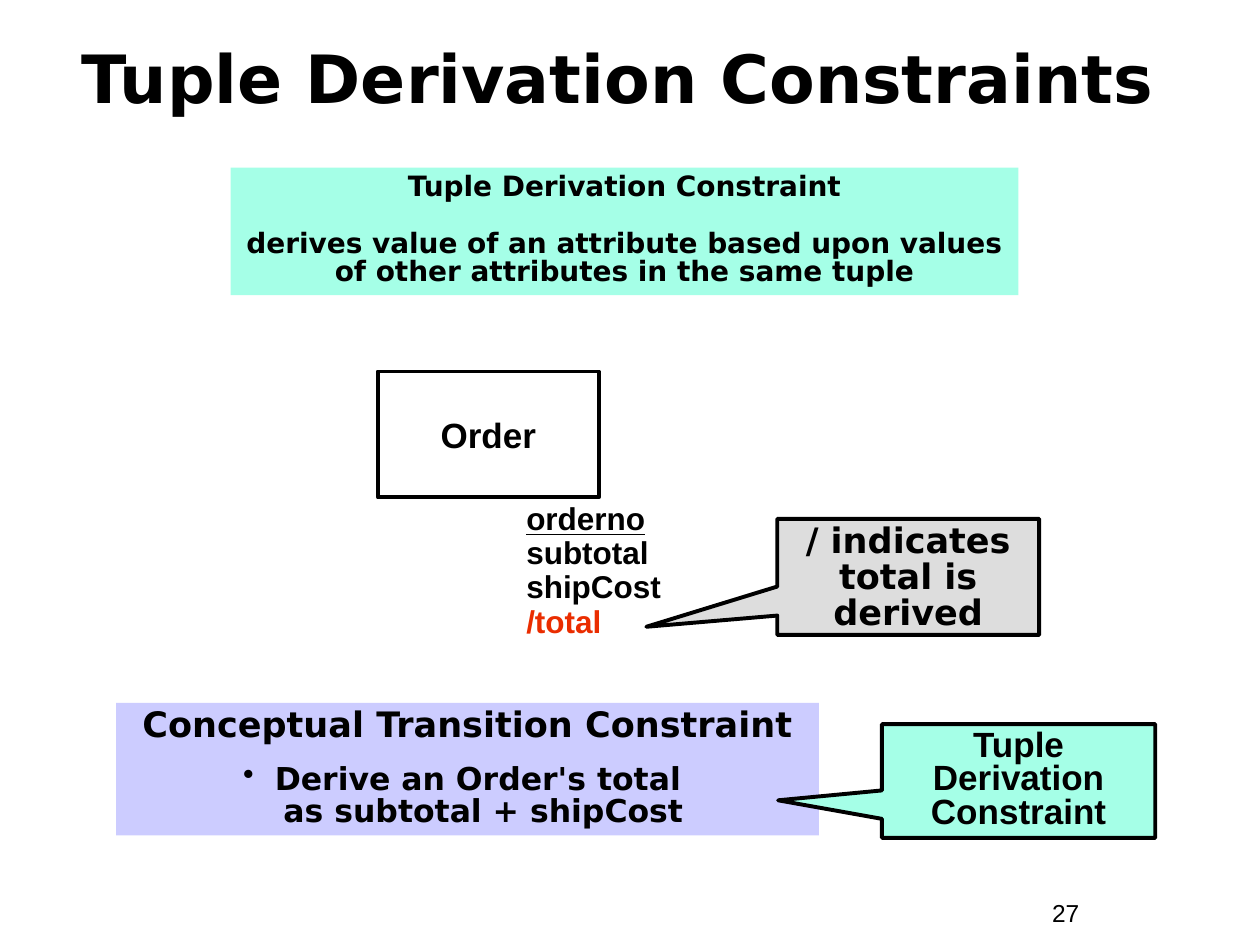
from dataclasses import dataclass

from lxml.etree import SubElement
from pptx import Presentation
from pptx.dml.color import RGBColor
from pptx.enum.shapes import MSO_SHAPE
from pptx.enum.text import MSO_ANCHOR, PP_ALIGN
from pptx.oxml.ns import qn
from pptx.util import Cm, Pt


@dataclass(frozen=True)
class Theme:
    black: RGBColor = RGBColor(0, 0, 0)
    red: RGBColor = RGBColor(0xEA, 0x2D, 0x00)
    grey: RGBColor = RGBColor(0xDD, 0xDD, 0xDD)
    lavender: RGBColor = RGBColor(0xCC, 0xCC, 0xFF)
    mint: RGBColor = RGBColor(0xA5, 0xFF, 0xE7)
    heading_font: str = "DejaVu Sans"
    diagram_font: str = "Arial"
    title_size: Pt = Pt(38)
    label_size: Pt = Pt(20)
    body_size: Pt = Pt(18)
    definition_size: Pt = Pt(16)
    page_size: Pt = Pt(14)
    outline: Pt = Pt(2.25)


THEME = Theme()


def write(holder, text, font, size, bold=True, align=PP_ALIGN.CENTER,
          spacing=None, anchor=MSO_ANCHOR.TOP, wrap=True):
    """Fill a shape with text in one style and return its paragraphs."""
    frame = holder.text_frame
    frame.word_wrap = wrap
    frame.vertical_anchor = anchor
    frame.text = text
    for paragraph in frame.paragraphs:
        paragraph.alignment = align
        paragraph.line_spacing = spacing
        for run in paragraph.runs:
            run.font.name = font
            run.font.size = size
            run.font.bold = bold
            run.font.color.rgb = THEME.black
    return frame.paragraphs


def add_text(slide, box, text, font, size, **style):
    holder = slide.shapes.add_textbox(*map(Cm, box))
    return write(holder, text, font, size, **style)


def add_panel(slide, box, text, font, size, fill=None, outlined=False,
              tip=None, **style):
    """Add a text rectangle; tip turns it into a callout pointing there."""
    kind = MSO_SHAPE.RECTANGULAR_CALLOUT if tip else MSO_SHAPE.RECTANGLE
    panel = slide.shapes.add_shape(kind, *map(Cm, box))
    panel.shadow.inherit = False
    if tip:
        panel.adjustments[0], panel.adjustments[1] = tip
    if fill:
        panel.fill.solid()
        panel.fill.fore_color.rgb = fill
    else:
        panel.fill.background()
    if outlined:
        panel.line.color.rgb = THEME.black
        panel.line.width = THEME.outline
    else:
        panel.line.fill.background()
    return write(panel, text, font, size, **style)


def add_bullet(paragraph):
    properties = paragraph._p.get_or_add_pPr()
    properties.set("marL", str(Cm(0.64)))
    properties.set("indent", str(-Cm(0.64)))
    SubElement(properties, qn("a:buChar")).set("char", "•")


def add_order_entity(slide):
    add_panel(slide, (7.62, 7.49, 4.45, 2.54), "Order", THEME.diagram_font,
              THEME.label_size, outlined=True, anchor=MSO_ANCHOR.MIDDLE,
              wrap=False)
    attributes = add_text(
        slide, (10.36, 10.03, 4.24, 3), "orderno\nsubtotal\nshipCost\n/total",
        THEME.diagram_font, THEME.body_size, align=PP_ALIGN.LEFT, spacing=0.9)
    attributes[0].runs[0].font.underline = True
    attributes[-1].runs[0].font.color.rgb = THEME.red


def add_derivation_rule(slide):
    heading, rule = add_panel(
        slide, (2.34, 14.17, 14.17, 2.67),
        "Conceptual Transition Constraint\n"
        "Derive an Order's total \vas subtotal + shipCost",
        THEME.heading_font, THEME.label_size, fill=THEME.lavender, spacing=0.85)
    rule.space_before = Pt(11.2)
    for run in rule.runs:
        run.font.size = THEME.body_size
    add_bullet(rule)


def add_definition(slide):
    term, meaning = add_panel(
        slide, (4.65, 3.38, 15.88, 2.57),
        "Tuple Derivation Constraint\n"
        "derives value of an attribute based upon values "
        "of other attributes in the same tuple",
        THEME.heading_font, THEME.definition_size, fill=THEME.mint, spacing=0.85)
    meaning.space_before = THEME.definition_size


def main():
    deck = Presentation()
    deck.slide_width, deck.slide_height = Cm(25.4), Cm(19.05)
    slide = deck.slides.add_slide(deck.slide_layouts[6])

    add_text(slide, (20.96, 17.98, 2.34, 0.86), "27", THEME.diagram_font,
             THEME.page_size, bold=False, align=PP_ALIGN.LEFT)
    add_text(slide, (0.84, 0.61, 23.7, 1.9), "Tuple Derivation Constraints ",
             THEME.heading_font, THEME.title_size, anchor=MSO_ANCHOR.MIDDLE)
    add_order_entity(slide)
    add_panel(slide, (15.67, 10.46, 5.28, 2.34), "/ indicates total is derived",
              THEME.heading_font, THEME.label_size, fill=THEME.grey,
              outlined=True, tip=(-1, 0.43), spacing=0.85)
    add_derivation_rule(slide)
    add_definition(slide)
    add_panel(slide, (17.78, 14.6, 5.51, 2.29), "Tuple\vDerivation\vConstraint",
              THEME.diagram_font, THEME.label_size, fill=THEME.mint,
              outlined=True, tip=(-0.88, 0.17), spacing=0.8)

    deck.save("out.pptx")


if __name__ == "__main__":
    main()
